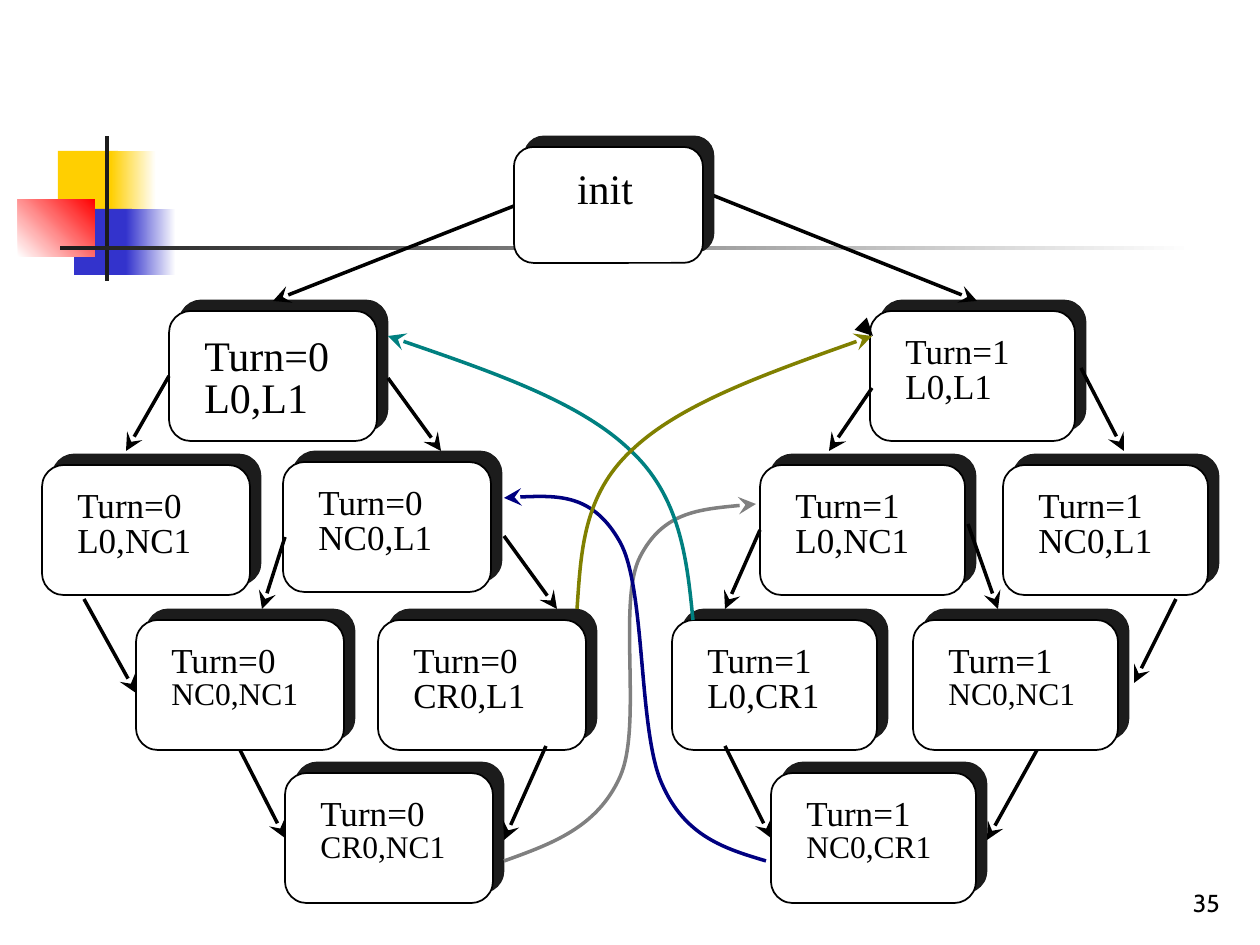
from dataclasses import dataclass

from lxml.etree import SubElement
from pptx import Presentation
from pptx.dml.color import RGBColor
from pptx.enum.shapes import MSO_CONNECTOR, MSO_SHAPE
from pptx.enum.text import MSO_ANCHOR, PP_ALIGN
from pptx.oxml.ns import qn
from pptx.util import Emu, Pt

EMU_PER_PX = 914400 / 126
TOP, LEFT, BOTTOM, RIGHT = range(4)


def px(length):
    return Emu(round(length * EMU_PER_PX))


@dataclass(frozen=True)
class Theme:
    ink: str = "000000"
    paper: str = "FFFFFF"
    dark: str = "1C1C1C"
    yellow: str = "FFCF01"
    blue: str = "3333CC"
    red: str = "FF0000"
    gray: str = "808080"
    navy: str = "000080"
    teal: str = "008080"
    olive: str = "808000"
    serif: str = "Times New Roman"
    sans: str = "Cabin"
    large: int = 24
    medium: int = 20
    small: int = 18
    number: int = 14
    outline: float = 1
    stroke: float = 2
    hairline: float = 0.75


class StateDiagram:
    def __init__(self, slide, theme):
        self.shapes = slide.shapes
        self.theme = theme

    def bar(self, left, top, width, height, start, end=None, angle=0):
        bar = self.shapes.add_shape(
            MSO_SHAPE.RECTANGLE, px(left), px(top), px(width), px(height))
        bar.shadow.inherit = False
        bar.line.fill.background()
        if end is None:
            bar.fill.solid()
            bar.fill.fore_color.rgb = RGBColor.from_string(start)
        else:
            bar.fill.gradient()
            bar.fill.gradient_angle = angle
            for stop, color in zip(bar.fill.gradient_stops, (start, end)):
                stop.color.rgb = RGBColor.from_string(color)

    def label(self, left, top, width, height, lines, face, align=PP_ALIGN.LEFT):
        label = self.shapes.add_textbox(px(left), px(top), px(width), px(height))
        frame = label.text_frame
        frame.word_wrap = True
        frame.text = "\n".join(text for text, size in lines)
        for index, (paragraph, (text, size)) in enumerate(zip(frame.paragraphs, lines)):
            paragraph.alignment = align
            if index:
                paragraph.line_spacing = 0.2
                paragraph.space_before = Pt(size * 0.625)
            for run in paragraph.runs:
                run.font.name = face
                run.font.size = Pt(size)
                run.font.color.rgb = RGBColor.from_string(self.theme.ink)
        return label

    def card(self, left, top, width, height):
        card = self.shapes.add_shape(
            MSO_SHAPE.ROUNDED_RECTANGLE, px(left), px(top), px(width), px(height))
        card.adjustments[0] = 0.167
        card.fill.solid()
        card.fill.fore_color.rgb = RGBColor.from_string(self.theme.paper)
        card.line.color.rgb = RGBColor.from_string(self.theme.ink)
        card.line.width = Pt(self.theme.outline)
        card.shadow.inherit = False
        effects = card.element.spPr.find(qn("a:effectLst"))
        shadow = SubElement(effects, qn("a:outerShdw"), blurRad="0",
                            dist=str(Pt(8.5)), dir="18900000", algn="ctr", rotWithShape="0")
        SubElement(shadow, qn("a:srgbClr"), val=self.theme.dark)
        return card

    def state(self, left, top, width, turn, processes, turn_size, process_size):
        card = self.card(left, top, width, 130)
        lines = [(f"Turn={turn}", turn_size), (processes, process_size)]
        label = self.label(left + 23, top + 12, width - 34, 84, lines, self.theme.serif)
        self.shapes.add_group_shape([card, label])
        return card

    def initial_state(self, left, top, width, height):
        card = self.card(left, top, width, height)
        label = self.label(left + 20, top + 9, width - 29, 63,
                           [("init", self.theme.large)], self.theme.serif)
        label.text_frame.margin_left = px(43)
        self.shapes.add_group_shape([card, label])

    def style_stroke(self, stroke, color, width, head):
        stroke.line.color.rgb = RGBColor.from_string(color)
        stroke.line.width = Pt(width)
        SubElement(stroke.element.spPr.find(qn("a:ln")), qn("a:tailEnd"),
                   type=head, w="lg", len="lg")

    def arrow(self, start, end, width=None, head="stealth"):
        points = [(0, 0) if hasattr(point[0], "left") else point for point in (start, end)]
        arrow = self.shapes.add_connector(
            MSO_CONNECTOR.STRAIGHT, *(px(value) for point in points for value in point))
        if hasattr(start[0], "left"):
            arrow.begin_connect(*start)
        if hasattr(end[0], "left"):
            arrow.end_connect(*end)
        self.style_stroke(arrow, self.theme.ink, width or self.theme.stroke, head)
        SubElement(arrow.element.spPr, qn("a:effectLst"))

    def curve(self, color, start, *controls):
        builder = self.shapes.build_freeform(*start, scale=EMU_PER_PX)
        builder.add_line_segments(controls, close=False)
        curve = builder.convert_to_shape()
        curve.shadow.inherit = False
        curve.fill.background()
        self.style_stroke(curve, color, self.theme.stroke, "stealth")
        outline = next(curve.element.iter(qn("a:path")))
        segments = outline.findall(qn("a:lnTo"))
        for first in range(0, len(segments), 3):
            bezier = SubElement(outline, qn("a:cubicBezTo"))
            for segment in segments[first:first + 3]:
                bezier.append(segment[0])
                outline.remove(segment)


def main():
    presentation = Presentation()
    presentation.slide_width, presentation.slide_height = px(1260), px(945)
    theme = Theme()
    diagram = StateDiagram(
        presentation.slides.add_slide(presentation.slide_layouts[6]), theme)

    diagram.bar(58, 151, 60, 66, theme.yellow)
    diagram.bar(111, 151, 45, 66, theme.yellow, theme.paper)
    diagram.bar(74, 209, 58, 66, theme.blue)
    diagram.bar(126, 209, 50, 66, theme.blue, theme.paper)
    diagram.bar(18, 199, 77, 58, theme.paper, theme.red, 45)
    diagram.bar(105, 136, 4, 145, theme.dark)
    diagram.bar(60, 246, 1134, 4, theme.dark, theme.paper)
    diagram.label(970, 861, 262, 63, [("35", theme.number)], theme.sans,
                  PP_ALIGN.RIGHT).text_frame.vertical_anchor = MSO_ANCHOR.BOTTOM

    large, medium, small = theme.large, theme.medium, theme.small
    row1, row2, row3, row4 = 311, 465, 620, 773
    states = {}
    for turn, width, placements in (
        (0, 208, [
            (169, row1, "L0,L1", large, large),
            (42, row2, "L0,NC1", medium, medium),
            (283, row2 - 3, "NC0,L1", medium, medium),
            (285, row4, "CR0,NC1", medium, small),
            (136, row3, "NC0,NC1", medium, small),
            (378, row3, "CR0,L1", medium, medium),
        ]),
        (1, 205, [
            (672, row3, "L0,CR1", medium, medium),
            (771, row4, "NC0,CR1", medium, small),
            (760, row2, "L0,NC1", medium, medium),
            (913, row3, "NC0,NC1", medium, small),
            (1003, row2, "NC0,L1", medium, medium),
            (870, row1, "L0,L1", medium, medium),
        ]),
    ):
        for left, top, processes, turn_size, process_size in placements:
            states[turn, processes] = diagram.state(
                left, top, width, turn, processes, turn_size, process_size)

    for start, end in (
        ((388, 378), (441, 451)),
        ((states[0, "L0,L1"], LEFT), (126, 451)),
        ((504, 536), (557, 609)),
        ((states[0, "NC0,NC1"], BOTTOM), (states[0, "CR0,NC1"], LEFT)),
        ((546, 746), (504, 840)),
        ((285, 537), (262, 609)),
        ((states[1, "L0,NC1"], LEFT), (725, 609)),
        ((1176, 599), (1134, 683)),
        ((725, 746), (states[1, "NC0,CR1"], LEFT)),
        ((1037, 750), (987, 840)),
        ((968, 524), (998, 609)),
        ((557, 189), (273, 301)),
        ((672, 179), (977, 301)),
        ((1081, 368), (1124, 451)),
        ((84, 599), (136, 693)),
        ((872, 388), (829, 451)),
    ):
        diagram.arrow(start, end)
    diagram.arrow((872, 335), (873, 336), theme.hairline, "triangle")

    diagram.curve(theme.gray, (504, 861), (551, 844), (597, 828), (620, 777),
                  (643, 726), (617, 602), (640, 557), (663, 512), (709, 508), (756, 504))
    diagram.curve(theme.navy, (766, 861), (726, 849), (685, 837), (662, 784),
                  (638, 731), (646, 588), (620, 542), (593, 494), (548, 495), (504, 498))
    diagram.curve(theme.teal, (693, 620), (687, 558), (680, 496), (630, 450),
                  (580, 402), (484, 369), (388, 336))
    diagram.curve(theme.olive, (577, 609), (581, 552), (583, 495), (632, 450),
                  (680, 404), (776, 370), (872, 336))

    diagram.initial_state(514, 147, 189, 116)
    presentation.save("out.pptx")


if __name__ == "__main__":
    main()
